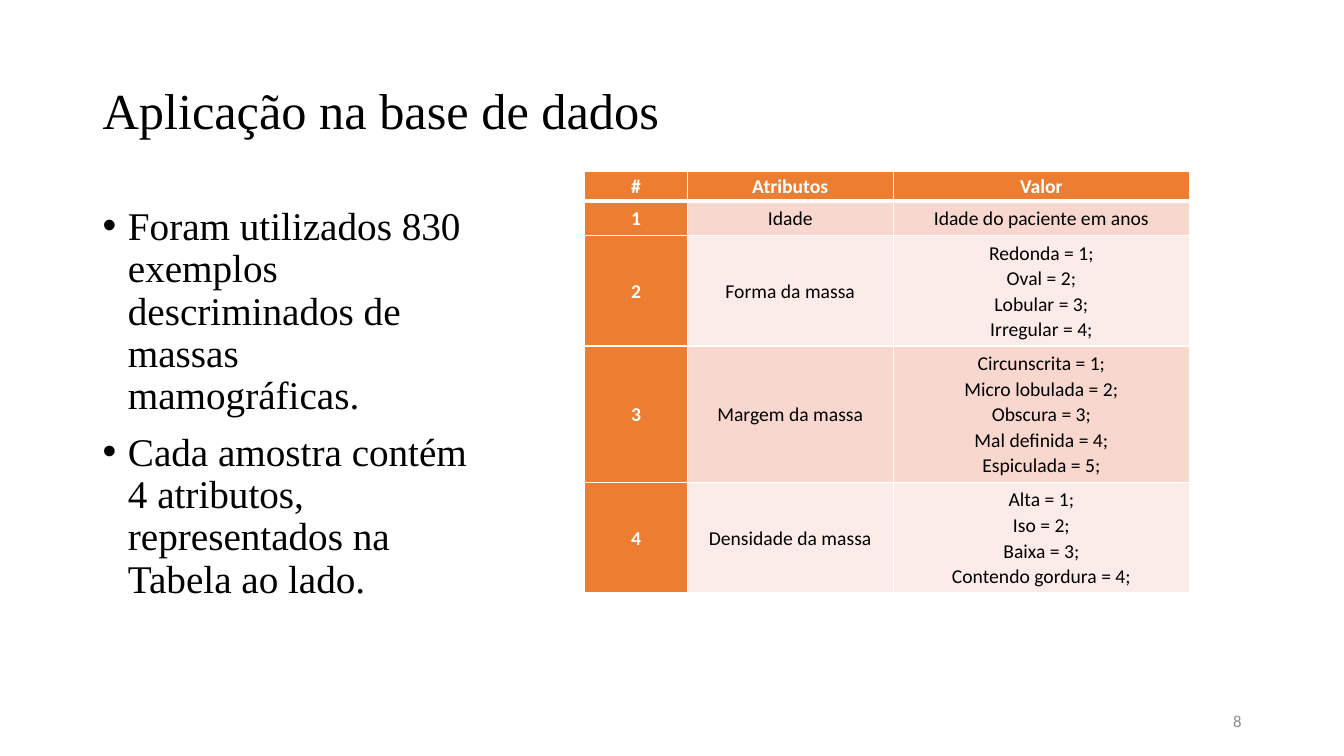
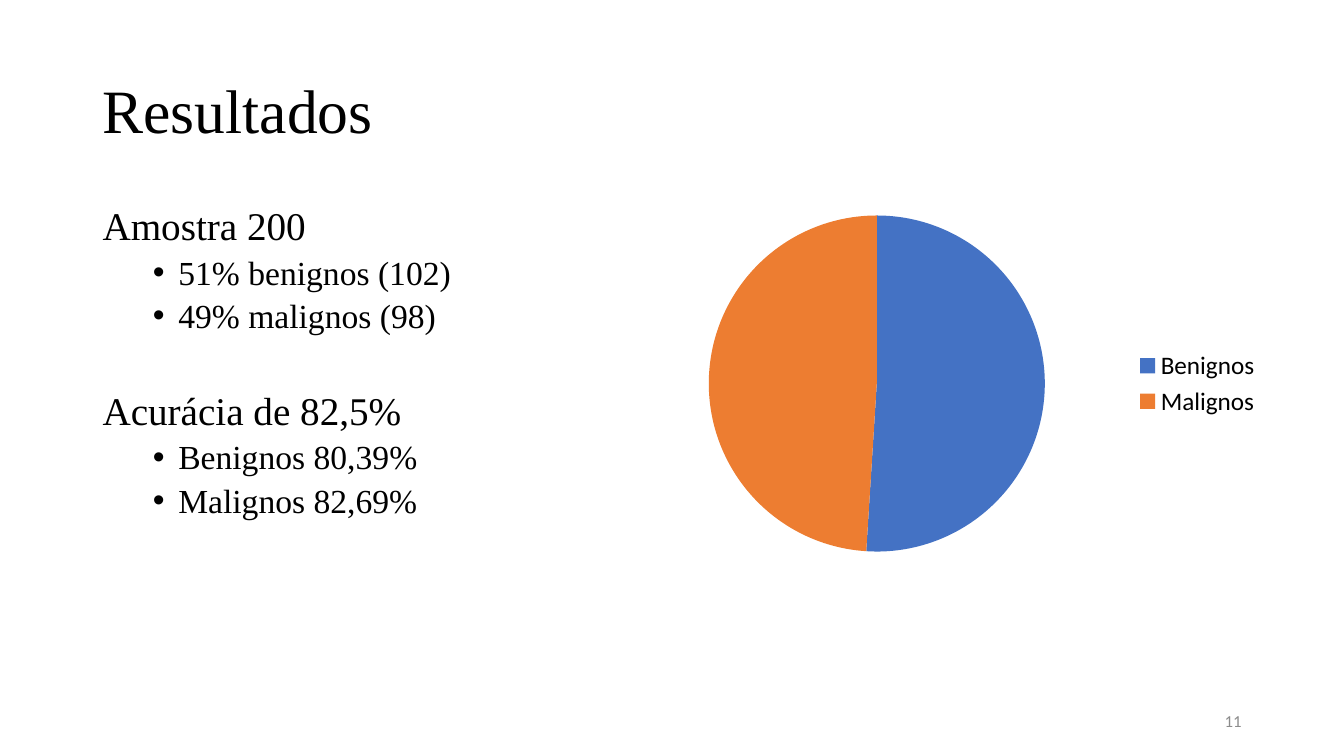
"""Build two slides on the mammographic data set: its attributes and the results."""
from lxml.etree import SubElement
from pptx import Presentation
from pptx.chart.data import CategoryChartData
from pptx.dml.color import RGBColor
from pptx.enum.chart import XL_CHART_TYPE, XL_LEGEND_POSITION
from pptx.enum.text import MSO_ANCHOR, MSO_AUTO_SIZE, PP_ALIGN
from pptx.oxml.ns import qn
from pptx.util import Cm, Pt

SERIF, SANS = "Times New Roman", "Calibri"
BLACK, WHITE, GRAY = "000000", "FFFFFF", "8C8C8C"
ORANGE, BLUE = "ED7D31", "4472C4"
ROW_TINTS = ["FCECE8", "F8D7CE"]
LEFT, FULL_WIDTH, BODY_TOP = Cm(2.33), Cm(29.21), Cm(5.08)


def color(hex_value):
    return RGBColor.from_string(hex_value)


def add_text(paragraph, text, size, font, hex_value, bold=False):
    run = paragraph.add_run()
    run.text = text
    run.font.size = Pt(size)
    run.font.name = font
    run.font.bold = bold
    run.font.color.rgb = color(hex_value)


presentation = Presentation()
presentation.slide_width, presentation.slide_height = Cm(33.87), Cm(19.05)

# Each body line: text, size, space before, left margin (cm), bulleted
pages = [
    ("Aplicação na base de dados", 36, "8", Cm(9.74), Cm(11.1), [
        ("Foram utilizados 830 exemplos descriminados de massas mamográficas.", 28, 10, 0.64, True),
        ("Cada amostra contém 4 atributos, representados na Tabela ao lado.", 28, 10, 0.64, True),
    ]),
    ("Resultados", 44, "11", FULL_WIDTH, Cm(12.09), [
        ("Amostra 200", 28, 10, 0, False),
        ("51% benignos (102)", 24, 5, 1.91, True),
        ("49% malignos (98)", 24, 5, 1.91, True),
        ("Acurácia de 82,5%", 28, 40, 0, False),
        ("Benignos 80,39%", 24, 5, 1.91, True),
        ("Malignos 82,69%", 24, 5, 1.91, True),
    ]),
]

slides = []
for title_text, title_size, number, body_width, body_height, lines in pages:
    slide = presentation.slides.add_slide(presentation.slide_layouts[1])
    slides.append(slide)

    title, body = slide.placeholders
    title.left, title.top, title.width, title.height = LEFT, Cm(1.01), FULL_WIDTH, Cm(3.68)
    body.left, body.top, body.width, body.height = LEFT, BODY_TOP, body_width, body_height
    for shape in (title, body):
        shape.text_frame.auto_size = MSO_AUTO_SIZE.NONE
        shape.text_frame.word_wrap = True
    title.text_frame.vertical_anchor = MSO_ANCHOR.MIDDLE
    paragraph = title.text_frame.paragraphs[0]
    paragraph.alignment = PP_ALIGN.LEFT
    paragraph.line_spacing = 0.9
    add_text(paragraph, title_text, title_size, SERIF, BLACK)

    for index, (text, size, space, margin, bulleted) in enumerate(lines):
        paragraph = body.text_frame.add_paragraph() if index else body.text_frame.paragraphs[0]
        paragraph.level = 1 if size == 24 else 0
        paragraph.line_spacing = 0.9
        paragraph.space_before = Pt(space)
        properties = paragraph._p.get_or_add_pPr()
        properties.set("marL", str(Cm(margin)))
        properties.set("indent", str(Cm(-0.64) if bulleted else 0))
        if bulleted:
            SubElement(properties, qn("a:buFont"), typeface="Arial")
            SubElement(properties, qn("a:buChar"), char="•")
        else:
            SubElement(properties, qn("a:buNone"))
        add_text(paragraph, text, size, SERIF, BLACK)

    number_box = slide.shapes.add_textbox(Cm(23.92), Cm(17.65), Cm(7.62), Cm(1.01))
    number_box.text_frame.word_wrap = True
    number_box.text_frame.vertical_anchor = MSO_ANCHOR.MIDDLE
    paragraph = number_box.text_frame.paragraphs[0]
    paragraph.alignment = PP_ALIGN.RIGHT
    add_text(paragraph, number, 12, SANS, GRAY)

data_slide, results_slide = slides

attributes = [
    ("#", "Atributos", ["Valor"]),
    ("1", "Idade", ["Idade do paciente em anos"]),
    ("2", "Forma da massa", ["Redonda = 1;", "Oval = 2;", "Lobular = 3;", "Irregular = 4;"]),
    ("3", "Margem da massa", ["Circunscrita = 1;", "Micro lobulada = 2;", "Obscura = 3;",
                              "Mal definida = 4;", "Espiculada = 5;"]),
    ("4", "Densidade da massa", ["Alta = 1;", "Iso = 2;", "Baixa = 3;", "Contendo gordura = 4;"]),
]
table = data_slide.shapes.add_table(
    len(attributes), 3, Cm(14.74), Cm(4.32), Cm(15.24), Cm(10.62)).table
for column, width in zip(table.columns, (2.58, 5.19, 7.47)):
    column.width = Cm(width)
for row, height in zip(table.rows, (0.74, 0.88, 2.78, 3.44, 2.78)):
    row.height = Cm(height)

for row_index, (number, attribute, values) in enumerate(attributes):
    for column_index, texts in enumerate(([number], [attribute], values)):
        cell = table.cell(row_index, column_index)
        heading = row_index == 0 or column_index == 0
        cell.vertical_anchor = MSO_ANCHOR.MIDDLE
        cell.margin_left = cell.margin_right = cell.margin_top = cell.margin_bottom = Cm(0.03)
        thick_side = {0: "lnB", 1: "lnT"}.get(row_index)
        for side in ("lnL", "lnR", "lnT", "lnB"):
            width = Pt(3) if side == thick_side else Pt(1)
            border = SubElement(cell._tc.get_or_add_tcPr(), qn("a:" + side), w=str(width))
            border_fill = SubElement(border, qn("a:solidFill"))
            SubElement(border_fill, qn("a:srgbClr"), val=WHITE)
        cell.fill.solid()
        cell.fill.fore_color.rgb = color(ORANGE if heading else ROW_TINTS[row_index % 2])
        for index, text in enumerate(texts):
            paragraph = cell.text_frame.add_paragraph() if index else cell.text_frame.paragraphs[0]
            paragraph.alignment = PP_ALIGN.CENTER
            paragraph.line_spacing = 1.07
            add_text(paragraph, text, 14, SANS, WHITE if heading else BLACK, heading)

chart_data = CategoryChartData()
chart_data.categories = ["Benignos", "Malignos"]
chart_data.add_series("Series 1", (51, 49))
chart = results_slide.shapes.add_chart(
    XL_CHART_TYPE.PIE, Cm(15.67), BODY_TOP, Cm(16.36), Cm(9.17), chart_data).chart
chart.has_title = False
chart.font.name = SANS
chart.font.size = Pt(18)
chart.font.color.rgb = color(BLACK)
chart.has_legend = True
chart.legend.position = XL_LEGEND_POSITION.RIGHT
chart.legend.include_in_layout = False
pie = chart.plots[0]
pie.vary_by_categories = True
for index, slice_color in enumerate((BLUE, ORANGE)):
    slice_fill = pie.series[0].points[index].format.fill
    slice_fill.solid()
    slice_fill.fore_color.rgb = color(slice_color)

presentation.save("out.pptx")
